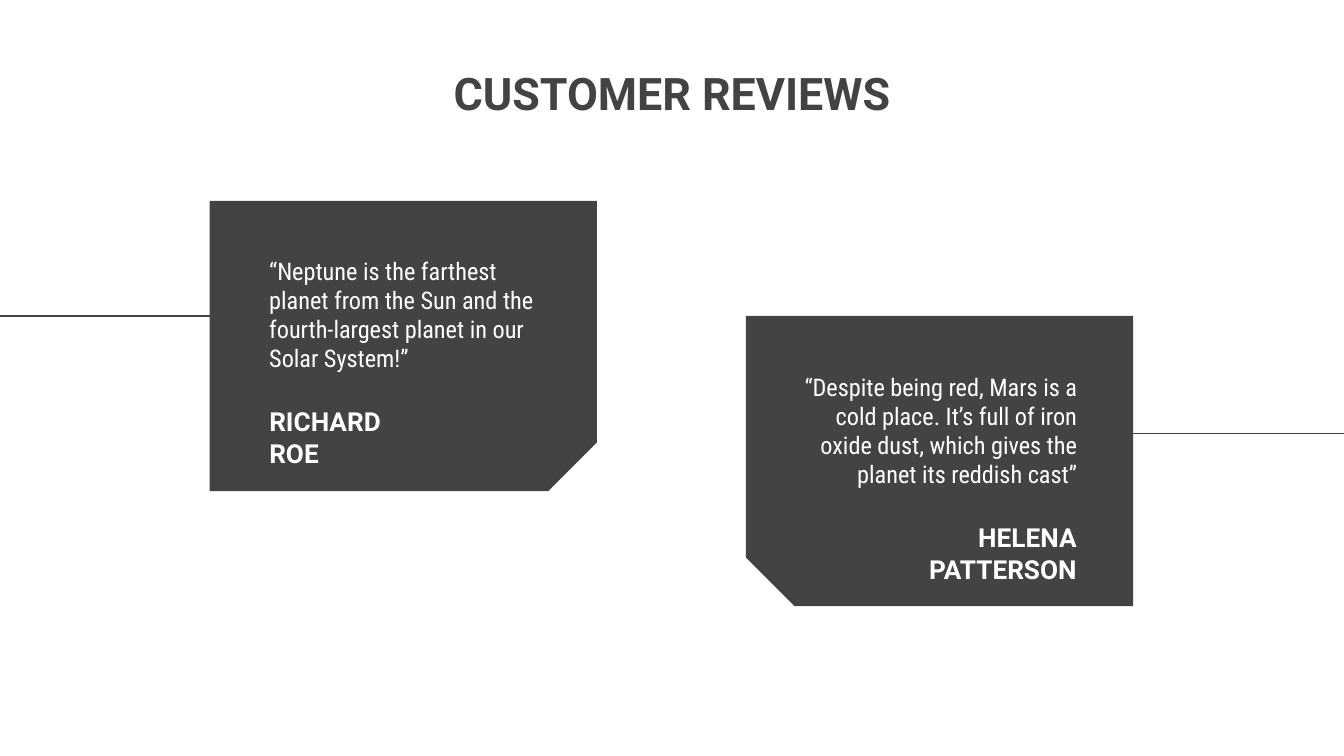
from dataclasses import dataclass

from lxml import etree
from pptx import Presentation
from pptx import util as u
from pptx.dml.color import RGBColor
from pptx.enum import shapes, text
from pptx.oxml import ns

COLUMNS = 100
ROWS = COLUMNS * 9 / 16
CELL = u.Inches(0.1)
CARD_WIDTH, CARD_HEIGHT = 28.8, 21.6
QUOTE_WIDTH, QUOTE_HEIGHT = 23.6, 11
NAME_DROP, NAME_HEIGHT = 13.1, 4.7


@dataclass(frozen=True)
class Theme:
    dark: RGBColor = RGBColor.from_string("434343")
    light: RGBColor = RGBColor.from_string("FFFFFF")
    heading: str = "Roboto"
    body: str = "Roboto Condensed"
    title_size: int = 24
    name_size: int = 14
    quote_size: int = 13
    line_width: float = 0.75


THEME = Theme()
TITLE = {"name": THEME.heading, "size": u.Pt(THEME.title_size), "bold": True}
NAME = {"name": THEME.heading, "size": u.Pt(THEME.name_size), "bold": True}
QUOTE = {"name": THEME.body, "size": u.Pt(THEME.quote_size), "bold": False}

REVIEWS = [
    {
        "quote": "“Despite being red, Mars is a cold place. It’s full of iron "
                 "oxide dust, which gives the planet its reddish cast”",
        "person": "HELENA PATTERSON",
        "card": (55.5, 23.5),
        "quote_at": (57.5, 26.7),
        "name_width": 19.5,
        "line": (COLUMNS, 73.1, 32.25),
        "mirrored": True,
    },
    {
        "quote": "“Neptune is the farthest planet from the Sun and the "
                 "fourth-largest planet in our Solar System!”",
        "person": "RICHARD ROE",
        "card": (15.6, 14.95),
        "quote_at": (19.05, 18.05),
        "name_width": 13.8,
        "line": (26.5, 0, 23.5),
        "mirrored": False,
    },
]


def grid(*cells):
    return [round(cell * CELL) for cell in cells]


def apply(target, values):
    for key, value in values.items():
        setattr(target, key, value)


def add_text(page, area, words, font, color, align, anchor=text.MSO_ANCHOR.TOP):
    box = page.shapes.add_textbox(*grid(*area))
    margins = {f"margin_{side}": CELL for side in ("left", "top", "right", "bottom")}
    apply(box.text_frame, {"word_wrap": True, "vertical_anchor": anchor, **margins})
    para = box.text_frame.paragraphs[0]
    para.alignment = align
    span = para.add_run()
    span.text = words
    apply(span.font, font)
    span.font.color.rgb = color


def add_card(page, left, top, mirrored):
    shift = (CARD_WIDTH - CARD_HEIGHT) / 2
    area = grid(left + shift, top - shift, CARD_HEIGHT, CARD_WIDTH)
    card = page.shapes.add_shape(shapes.MSO_SHAPE.SNIP_1_RECTANGLE, *area)
    card.adjustments[0] = 0.167
    card.rotation = 270 if mirrored else 90
    if mirrored:
        card.element.spPr.find(ns.qn("a:xfrm")).set("flipH", "1")
    card.shadow.inherit = False
    card.fill.solid()
    card.fill.fore_color.rgb = THEME.dark
    card.line.fill.background()


def add_line(page, start, end, row):
    line = page.shapes.add_connector(
        shapes.MSO_CONNECTOR.STRAIGHT, *grid(start, row, end, row))
    line.line.color.rgb = THEME.dark
    line.line.width = u.Pt(THEME.line_width)
    etree.SubElement(line.element.spPr, ns.qn("a:effectLst"))


def add_review_text(page, review):
    left, top = review["quote_at"]
    width = review["name_width"]
    mirrored = review["mirrored"]
    align = text.PP_ALIGN.RIGHT if mirrored else text.PP_ALIGN.LEFT
    name_left = left + QUOTE_WIDTH - width if mirrored else left
    add_text(page, (name_left, top + NAME_DROP, width, NAME_HEIGHT),
             review["person"], NAME, THEME.light, align, text.MSO_ANCHOR.BOTTOM)
    add_text(page, (left, top, QUOTE_WIDTH, QUOTE_HEIGHT),
             review["quote"], QUOTE, THEME.light, align)


def main():
    deck = Presentation()
    deck.slide_width, deck.slide_height = grid(COLUMNS, ROWS)
    page = deck.slides.add_slide(deck.slide_layouts[6])
    for review in REVIEWS:
        add_card(page, *review["card"], review["mirrored"])
        add_line(page, *review["line"])
    add_text(page, (21.5, 3.9, 57, 10.3), "CUSTOMER REVIEWS",
             TITLE, THEME.dark, text.PP_ALIGN.CENTER)
    for review in reversed(REVIEWS):
        add_review_text(page, review)
    deck.save("out.pptx")


if __name__ == "__main__":
    main()
